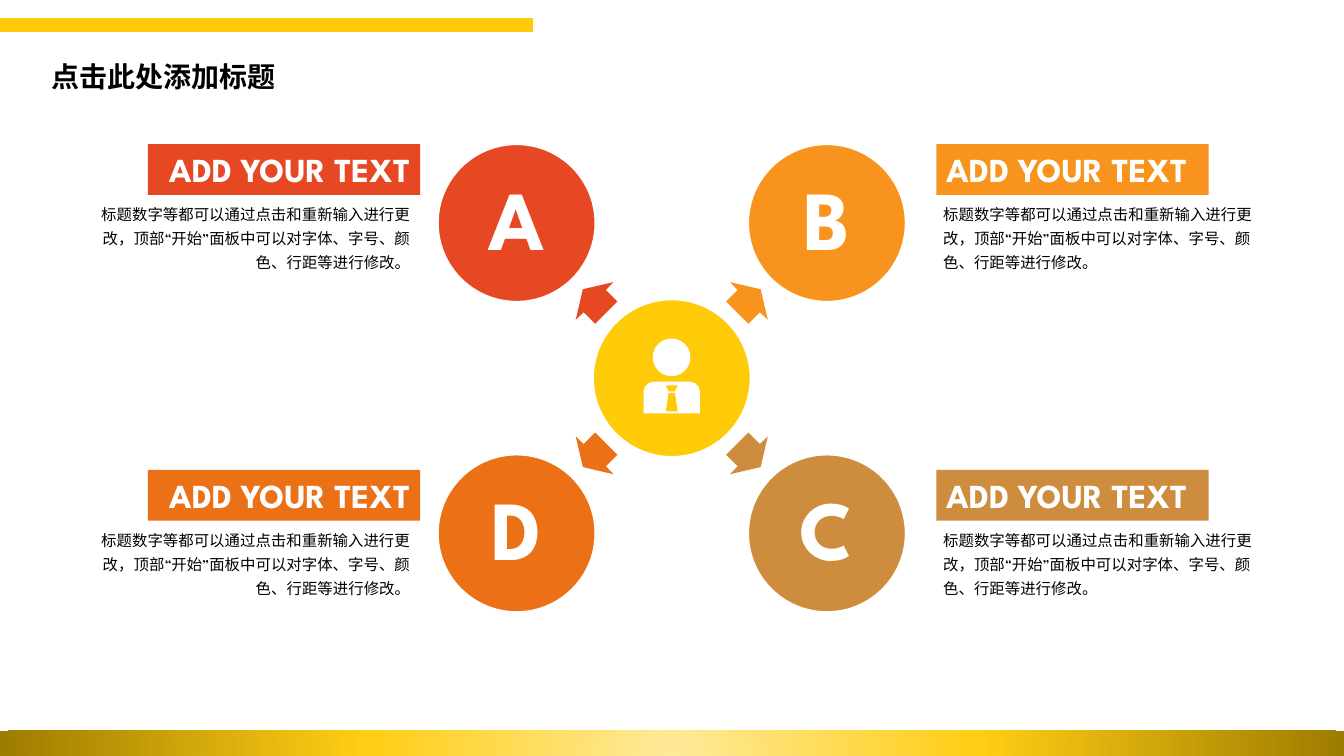
from dataclasses import dataclass

from pptx import Presentation
from pptx.dml.color import RGBColor
from pptx.enum.shapes import MSO_CONNECTOR, MSO_SHAPE
from pptx.enum.text import MSO_ANCHOR, MSO_AUTO_SIZE, PP_ALIGN
from pptx.oxml import parse_xml
from pptx.oxml.ns import nsdecls, qn
from pptx.util import Cm, Pt


@dataclass
class Theme:
    font: str = "League Spartan"
    gold: str = "FFCA08"
    red: str = "E64823"
    amber: str = "F8931D"
    tan: str = "CE8D3E"
    orange: str = "EC7016"
    white: str = "FFFFFF"
    black: str = "000000"
    bar: tuple = ((0, "FFEA9C"), (46, "FFCD14"), (100, "9E7C00"))
    title: int = 20
    letter: int = 60
    label: int = 24
    body: int = 11


theme = Theme()


def write(shape, text, size, color=theme.black, bold=False, align=PP_ALIGN.LEFT,
          anchor=MSO_ANCHOR.TOP, wrap=True, spacing=None, grow=False):
    frame = shape.text_frame
    frame.word_wrap = wrap
    frame.vertical_anchor = anchor
    frame.auto_size = MSO_AUTO_SIZE.SHAPE_TO_FIT_TEXT if grow else MSO_AUTO_SIZE.NONE
    para = frame.paragraphs[0]
    para.alignment = align
    para.line_spacing = spacing
    run = para.add_run()
    run.text = text
    run.font.name = theme.font
    run.font.size = Pt(size)
    run.font.bold = bold
    run.font.color.rgb = RGBColor.from_string(color)
    run.font._element.append(parse_xml(
        f'<a:ea {nsdecls("a")} typeface="{theme.font}"/>'))


def paint(shape, fill, line=None):
    shape.shadow.inherit = False
    shape.fill.solid()
    shape.fill.fore_color.rgb = RGBColor.from_string(fill)
    if line:
        shape.line.color.rgb = RGBColor.from_string(line)
        shape.line.width = Pt(1)
    else:
        shape.line.fill.background()


deck = Presentation()
deck.slide_width, deck.slide_height = Cm(33.87), Cm(19.05)
slide = deck.slides.add_slide(deck.slide_layouts[6])
shapes = slide.shapes

# Top rule
rule = shapes.add_connector(MSO_CONNECTOR.STRAIGHT, 0, Cm(0.63), Cm(13.44), Cm(0.63))
rule.line.color.rgb = RGBColor.from_string(theme.gold)
rule.line.width = Pt(10)
rule._element.spPr.append(parse_xml(f'<a:effectLst {nsdecls("a")}/>'))

# Bottom bar with a round gradient
bar = shapes.add_shape(MSO_SHAPE.RECTANGLE, 0, Cm(18.42), deck.slide_width, Cm(0.73))
paint(bar, theme.gold)
stops = "".join(f'<a:gs pos="{at * 1000}"><a:srgbClr val="{color}"/></a:gs>'
                for at, color in theme.bar)
blend = parse_xml(
    f'<a:gradFill {nsdecls("a")} rotWithShape="1"><a:gsLst>{stops}</a:gsLst>'
    '<a:path path="circle"><a:fillToRect l="50000" t="130000" r="50000" b="-30000"/>'
    '</a:path></a:gradFill>')
props = bar._element.spPr
props.replace(props.find(qn("a:solidFill")), blend)

# Title
title = shapes.add_textbox(Cm(1.04), Cm(1.24), Cm(12.4), Cm(1.47))
write(title, "点击此处添加标题", theme.title, bold=True, anchor=MSO_ANCHOR.MIDDLE,
      spacing=0.9)

# Hub
mid_x, mid_y = 16.93, 9.53
disc, reach = 3.96, 3.91
hub = shapes.add_shape(MSO_SHAPE.OVAL, Cm(mid_x - disc / 2), Cm(mid_y - disc / 2),
                       Cm(disc), Cm(disc))
paint(hub, theme.gold, theme.white)

# Person in the hub
head = shapes.add_shape(MSO_SHAPE.OVAL, Cm(mid_x - 0.48), Cm(8.53), Cm(0.95), Cm(0.95))
paint(head, theme.white)
torso = shapes.add_shape(MSO_SHAPE.ROUND_2_SAME_RECTANGLE, Cm(mid_x - 0.71), Cm(9.62),
                         Cm(1.42), Cm(0.8))
torso.adjustments[0] = 0.31
paint(torso, theme.white)
knot = [(-0.15, 0.18), (0.15, 0.18), (0.08, 0.33), (-0.08, 0.33)]
blade = [(-0.08, 0.37), (0.08, 0.37), (0.15, 0.84), (-0.15, 0.84)]
for part in (knot, blade):
    dots = [(Cm(mid_x + x), Cm(mid_y + y)) for x, y in part]
    pen = shapes.build_freeform(*dots[0])
    pen.add_line_segments(dots[1:])
    paint(pen.convert_to_shape(), theme.gold)

# Four branches: arrow, letter disc, label and body text, mirrored about the hub
arrow = [(1.93, 1.37), (2.22, 1.66), (2.42, 1.47), (2.24, 2.24),
         (1.47, 2.42), (1.66, 2.22), (1.37, 1.93)]
body = "标题数字等都可以通过点击和重新输入进行更改，顶部“开始”面板中可以对字体、字号、颜色、行距等进行修改。"
parts = [("B", theme.amber, 1, -1), ("C", theme.tan, 1, 1),
         ("D", theme.orange, -1, 1), ("A", theme.red, -1, -1)]
for letter, color, side, level in parts:
    dots = [(Cm(mid_x + side * x), Cm(mid_y + level * y)) for x, y in arrow]
    pen = shapes.build_freeform(*dots[0])
    pen.add_line_segments(dots[1:])
    paint(pen.convert_to_shape(), color)

    ball = shapes.add_shape(
        MSO_SHAPE.OVAL, Cm(mid_x + side * reach - disc / 2),
        Cm(mid_y + level * reach - disc / 2), Cm(disc), Cm(disc))
    paint(ball, color, theme.white)
    write(ball, letter, theme.letter, color=theme.white, bold=True, wrap=False,
          align=PP_ALIGN.CENTER, anchor=MSO_ANCHOR.MIDDLE, spacing=0.9)

    right = side > 0
    align = PP_ALIGN.LEFT if right else PP_ALIGN.RIGHT
    top = 11.84 if level > 0 else 3.63
    note = shapes.add_textbox(Cm(23.52 if right else 2.01), Cm(top + 1.28),
                              Cm(8.58), Cm(2.08))
    write(note, body, theme.body, align=align, spacing=1.3, grow=True)
    label = shapes.add_shape(MSO_SHAPE.RECTANGLE, Cm(23.6 if right else 3.73), Cm(top),
                             Cm(6.86), Cm(1.28))
    paint(label, color)
    write(label, "ADD YOUR TEXT", theme.label, color=theme.white, bold=True,
          align=align, wrap=False, grow=True)

deck.save("out.pptx")
